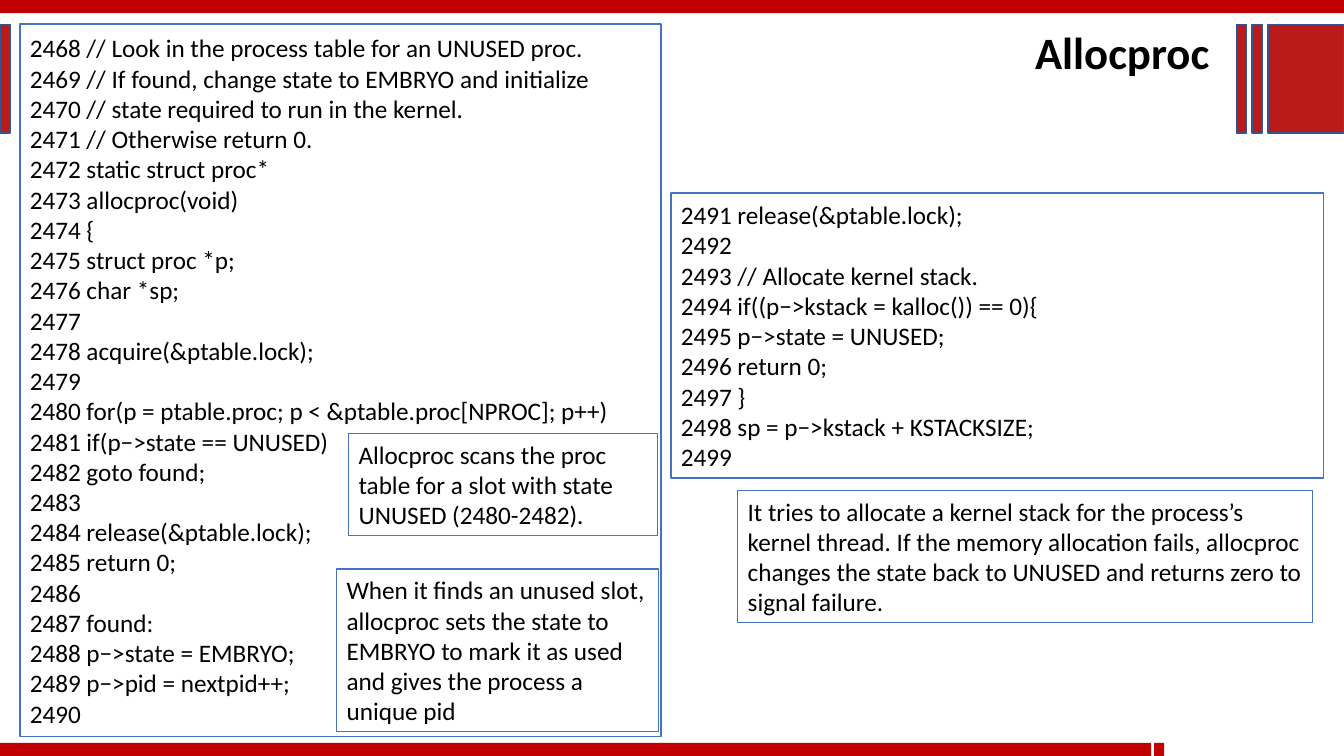
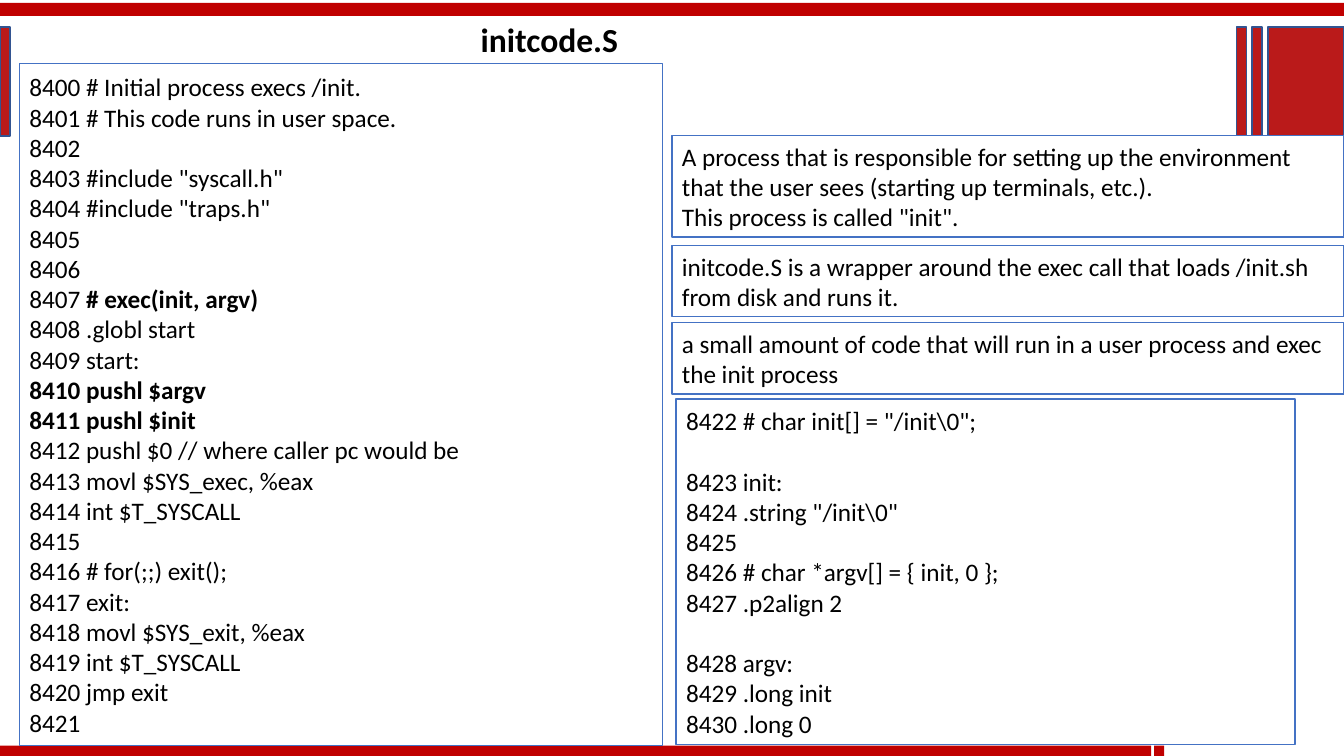
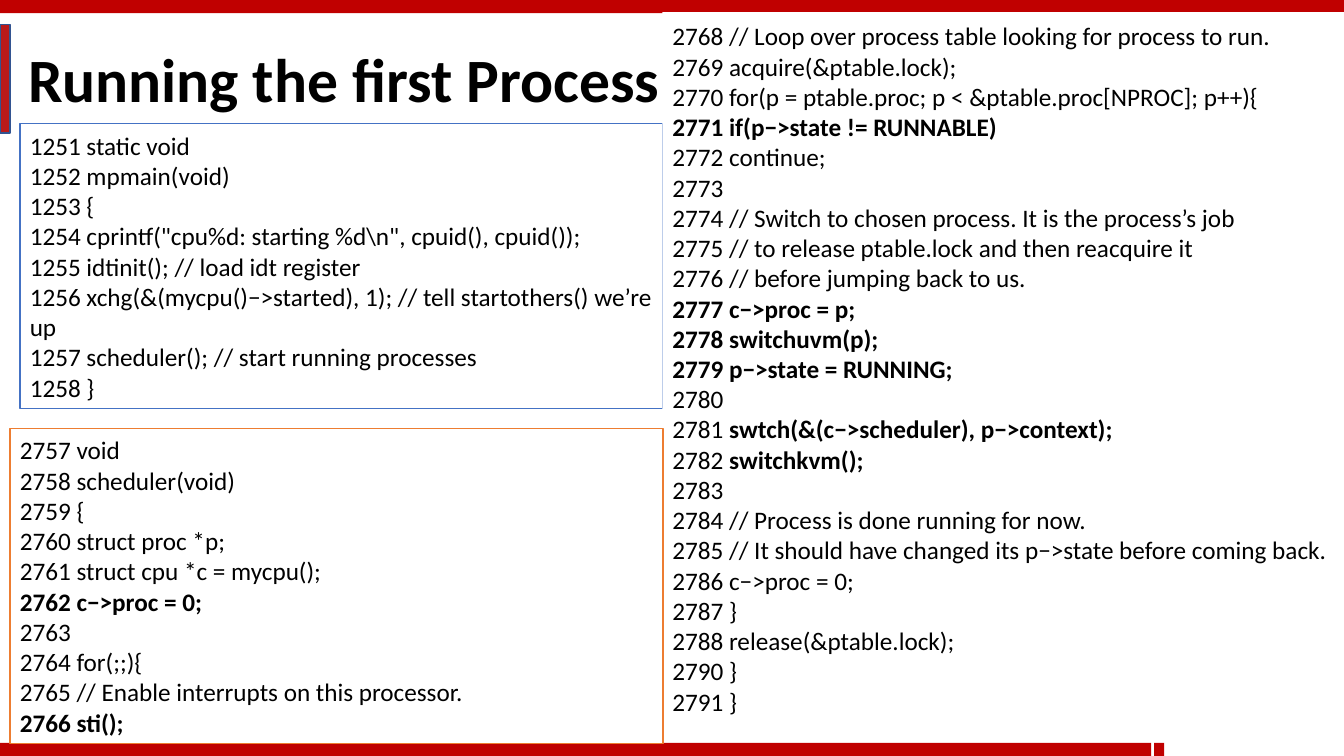
from dataclasses import dataclass
from pptx import Presentation
from pptx.dml.color import RGBColor
from pptx.enum import shapes, text
from pptx.util import Pt


@dataclass(frozen=True)
class Theme:
    font: str = "Calibri"
    size: int = 18
    pitch: float = 21.6
    ink: str = "000000"
    paper: str = "FFFFFF"
    band: str = "C00000"
    block: str = "BA1A1A"
    edge: str = "325491"
    blue: str = "4472C4"
    orange: str = "ED7D31"


T = Theme()
WIDE, HIGH = 960, 540

# Left, top, width, height
BANDS = [(0, 0, WIDE, 9.4), (0, 530.6, 822.3, 9.4), (824.4, 530.6, 7.2, 9.4)]
BLOCKS = [(x, 17.3, w, 77.8)
          for x, w in [(0, 7.2), (905.8, 54.2), (894.2, 7.2), (883.4, 7.2)]]

# In a line of text, whatever follows "|" is bold.
ALLOC = r"""2468 // Look in the process table for an UNUSED proc.
2469 // If found, change state to EMBRYO and initialize
2470 // state required to run in the kernel.
2471 // Otherwise return 0.
2472 static struct proc*
2473 allocproc(void)
2474 {
2475 struct proc *p;
2476 char *sp;
2477
2478 acquire(&ptable.lock);
2479
2480 for(p = ptable.proc; p < &ptable.proc[NPROC]; p++)
2481 if(p−>state == UNUSED)
2482 goto found;
2483
2484 release(&ptable.lock);
2485 return 0;
2486
2487 found:
2488 p−>state = EMBRYO;
2489 p−>pid = nextpid++;
2490"""

STACK = r"""2491 release(&ptable.lock);
2492
2493 // Allocate kernel stack.
2494 if((p−>kstack = kalloc()) == 0){
2495 p−>state = UNUSED;
2496 return 0;
2497 }
2498 sp = p−>kstack + KSTACKSIZE;
2499"""

START = r"""8400 # Initial process execs /init.
8401 # This code runs in user space.
8402
8403 #include "syscall.h"
8404 #include "traps.h"
8405
8406
8407 |# exec(init, argv)
8408 .globl start
8409 start:
|8410 pushl $argv
|8411 pushl $init
8412 pushl $0 // where caller pc would be
8413 movl $SYS_exec, %eax
8414 int $T_SYSCALL
8415
8416 # for(;;) exit();
8417 exit:
8418 movl $SYS_exit, %eax
8419 int $T_SYSCALL
8420 jmp exit
8421"""

ARGS = r"""8422 # char init[] = "/init\0";
8423 init:
8424 .string "/init\0"
8425
8426 # char *argv[] = { init, 0 };
8427 .p2align 2
8428 argv:
8429 .long init
8430 .long 0"""

MAIN = r"""1251 static void
1252 mpmain(void)
1253 {
1254 cprintf("cpu%d: starting %d\n", cpuid(), cpuid());
1255 idtinit(); // load idt register
1256 xchg(&(mycpu()−>started), 1); // tell startothers() we’re up
1257 scheduler(); // start running processes
1258 }"""

LOOP = r"""2768 // Loop over process table looking for process to run.
2769 acquire(&ptable.lock);
2770 for(p = ptable.proc; p < &ptable.proc[NPROC]; p++){
|2771 if(p−>state != RUNNABLE)
2772 continue;
2773
2774 // Switch to chosen process. It is the process’s job
2775 // to release ptable.lock and then reacquire it
2776 // before jumping back to us.
|2777 c−>proc = p;
|2778 switchuvm(p);
|2779 p−>state = RUNNING;
2780
2781 |swtch(&(c−>scheduler), p−>context);
2782 |switchkvm();
2783
2784 // Process is done running for now.
2785 // It should have changed its p−>state before coming back.
2786 c−>proc = 0;
2787 }
2788 release(&ptable.lock);
2790 }
2791 }"""

SCHED = r"""2757 void
2758 scheduler(void)
2759 {
2760 struct proc *p;
2761 struct cpu *c = mycpu();
|2762 c−>proc = 0;
2763
2764 for(;;){
2765 // Enable interrupts on this processor.
|2766 sti();"""

SLIDES = [
    dict(title="Allocproc", size=32, at=(732.2, 13.7, 148.3, 46), drop=0, boxes=[
        dict(at=(14.2, 17.3, 457.9, 509), text=ALLOC),
        dict(at=(479.2, 137.8, 466, 203.8), text=STACK),
        dict(at=(527, 350.2, 410.4, 94.4),
             text="It tries to allocate a kernel stack for the process’s kernel "
                  "thread. If the memory allocation fails, allocproc changes the "
                  "state back to UNUSED and returns zero to signal failure."),
        dict(at=(249.1, 309.8, 220.7, 72.7),
             text="Allocproc scans the proc table for a slot with state UNUSED "
                  "(2480-2482)."),
        dict(at=(240.5, 406.4, 229.7, 116.3),
             text="When it finds an unused slot, allocproc sets the state to EMBRYO "
                  "to mark it as used and gives the process a unique pid"),
    ]),
    dict(title="initcode.S", size=24, at=(336.2, 10, 113.8, 36.4), drop=2, boxes=[
        dict(at=(13.9, 45.4, 459.2, 487), text=START),
        dict(at=(483, 285, 442, 247), text=ARGS, gaps=(1, 6)),
        dict(at=(480, 96.7, 480, 72.7),
             text="A process that is responsible for setting up the environment that "
                  "the user sees (starting up terminals, etc.).\n"
                  'This process is called "init".'),
        dict(at=(480, 175.3, 480, 51),
             text="initcode.S is a wrapper around the exec call that loads /init.sh "
                  "from disk and runs it."),
        dict(at=(480, 230.4, 480, 51),
             text="a small amount of code that will run in a user process and exec "
                  "the init process"),
    ]),
    dict(title="Running the first Process", size=44, at=(12.8, 25, 468, 60.6),
         drop=0, boxes=[
             dict(at=(14.2, 88.2, 459.2, 203.8), text=MAIN),
             dict(at=(473.2, 8.7, 486.8, 509), text=LOOP, line=None),
             dict(at=(7.1, 305.9, 466.6, 225.4), text=SCHED, line=T.orange),
         ]),
]


def rgb(code):
    return RGBColor.from_string(code)


def place(shape, at):
    shape.left, shape.top, shape.width, shape.height = map(Pt, at)


def rect(slide, at, fill, line=None):
    shape = slide.shapes.add_shape(shapes.MSO_SHAPE.RECTANGLE, *map(Pt, at))
    shape.shadow.inherit = False
    shape.fill.solid()
    shape.fill.fore_color.rgb = rgb(fill)
    if line:
        shape.line.color.rgb = rgb(line)
        shape.line.width = Pt(1)
    else:
        shape.line.fill.background()
    return shape


def setup(frame):
    frame.word_wrap = True
    frame.auto_size = text.MSO_AUTO_SIZE.NONE
    frame.vertical_anchor = text.MSO_ANCHOR.MIDDLE


def style(run, size, bold):
    font = run.font
    font.name, font.size, font.bold = T.font, Pt(size), bold
    font.color.rgb = rgb(T.ink)


def head(slide, title, size, at):
    shape = slide.shapes.title
    place(shape, at)
    frame = shape.text_frame
    frame.text = title
    setup(frame)
    para = frame.paragraphs[0]
    para.alignment = text.PP_ALIGN.LEFT
    style(para.runs[0], size, True)


def trim(slide, drop):
    """Draw the red bands and blocks, moved down by drop."""
    for group, fill, line in [(BANDS, T.band, None), (BLOCKS, T.block, T.edge)]:
        for x, y, w, h in group:
            rect(slide, (x, y + drop, w, h), fill, line)


def box(slide, at, text_, line, gaps):
    """Add a text box; gaps lists the lines that follow an empty line."""
    frame = rect(slide, at, T.paper, line).text_frame
    setup(frame)
    for i, row in enumerate(text_.split("\n")):
        para = frame.add_paragraph() if i else frame.paragraphs[0]
        para.alignment = text.PP_ALIGN.LEFT
        if i in gaps:
            para.space_before = Pt(T.pitch)
        plain, _, bold = row.partition("|")
        for part, heavy in [(plain, False), (bold, True)]:
            if part:
                run = para.add_run()
                run.text = part
                style(run, T.size, heavy)


def main():
    deck = Presentation()
    deck.slide_width, deck.slide_height = Pt(WIDE), Pt(HIGH)
    for data in SLIDES:
        slide = deck.slides.add_slide(deck.slide_layouts[5])
        head(slide, data["title"], data["size"], data["at"])
        trim(slide, data["drop"])
        for item in data["boxes"]:
            box(slide, item["at"], item["text"],
                item.get("line", T.blue), item.get("gaps", ()))
    deck.save("out.pptx")


if __name__ == "__main__":
    main()
